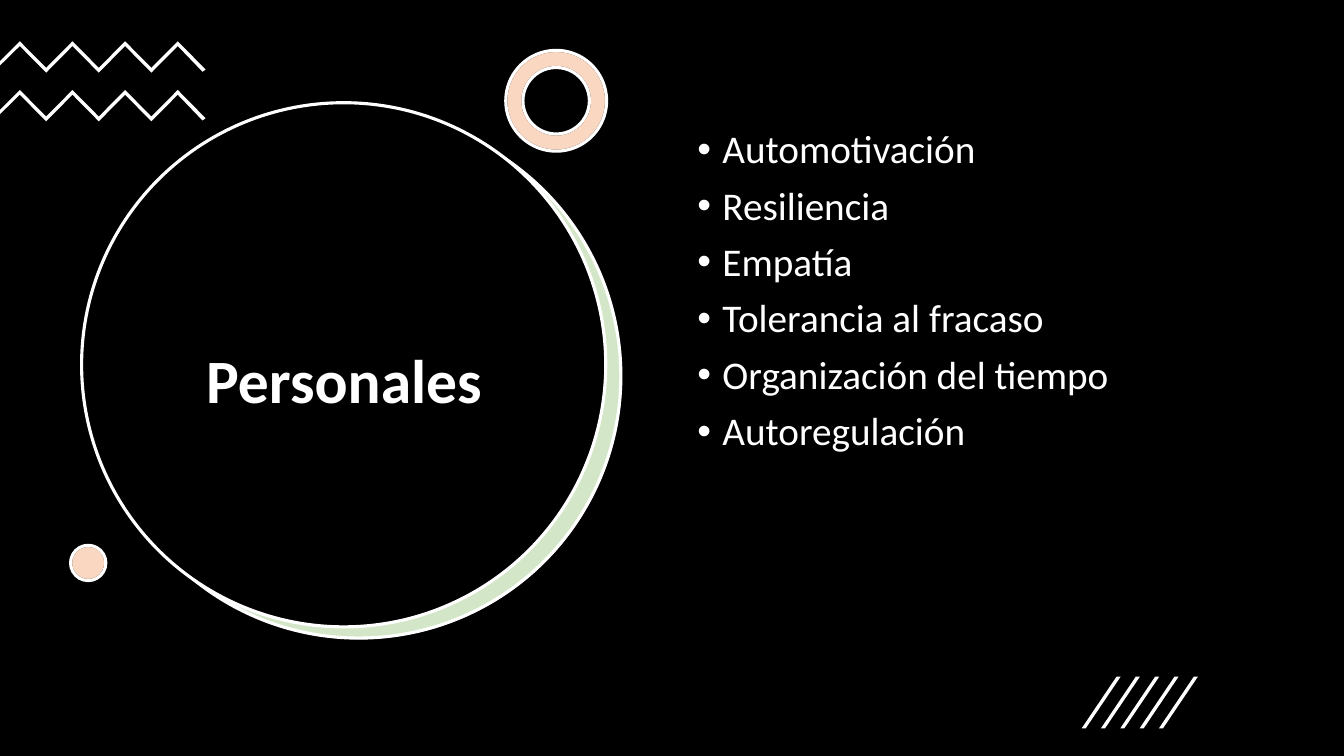
from lxml.etree import SubElement
from pptx import Presentation
from pptx.dml.color import RGBColor
from pptx.enum.shapes import MSO_SHAPE as Preset
from pptx.enum.text import MSO_ANCHOR as Anchor, PP_ALIGN as Align
from pptx.oxml.ns import qn
from pptx.util import Pt

COLORS = {"black": "000000", "white": "FFFFFF", "green": "70AD47", "orange": "ED7D31"}
FONT = "Calibri"
LINE_WIDTH = 2.25
UNITS = 100  # outline units per point

SKILLS = ["Automotivación", "Resiliencia", "Empatía", "Tolerancia al fracaso",
          "Organización del tiempo", "Autoregulación"]


def color(name):
    return RGBColor.from_string(COLORS[name])


def paint(shape, fill, line=None, opacity=100):
    shape.shadow.inherit = False
    shape.fill.solid()
    shape.fill.fore_color.rgb = color(fill)
    if opacity < 100:
        tint = shape.fill._xPr.find(qn("a:solidFill"))[0]
        SubElement(tint, qn("a:alpha")).set("val", str(opacity * 1000))
    if line:
        shape.line.color.rgb = color(line)
        shape.line.width = Pt(LINE_WIDTH)
    else:
        shape.line.fill.background()


def add_preset(page, preset, left, top, width, height, fill, line=None, opacity=100):
    shape = page.shapes.add_shape(preset, Pt(left), Pt(top), Pt(width), Pt(height))
    paint(shape, fill, line, opacity)
    return shape


def add_outline(page, points):
    points = [(x * UNITS, y * UNITS) for x, y in points]
    builder = page.shapes.build_freeform(*points[0], scale=Pt(1) / UNITS)
    builder.add_line_segments(points[1:], close=True)
    paint(builder.convert_to_shape(), "white")


def add_box(page, left, top, width, height, anchor):
    frame = page.shapes.add_textbox(Pt(left), Pt(top), Pt(width), Pt(height)).text_frame
    frame.word_wrap = True
    frame.vertical_anchor = anchor
    return frame


def add_span(para, text, size, bold=False):
    para.line_spacing = 0.9
    span = para.add_run()
    span.text = text
    span.font.name = FONT
    span.font.size = Pt(size)
    span.font.bold = bold
    span.font.color.rgb = color("white")


def title_disc(page, left, top, size):
    # Tinted disc behind, black disc in front
    add_preset(page, Preset.OVAL, left + 11.5, top + 8.7, size, size, "white")
    add_preset(page, Preset.OVAL, left + 10.8, top + 8, size, size, "green", "white", 30)
    add_preset(page, Preset.OVAL, left, top, size, size, "black", "white")
    # Title
    para = add_box(page, left + 28.8, top + 74.2, 317.5, 253.4, Anchor.MIDDLE).paragraphs[0]
    para.alignment = Align.CENTER
    add_span(para, "Personales", 44, bold=True)


def zigzag(page, left, top):
    step, rise, thickness = 18.8, 19, 3.4
    upper = [(left + 14.2 + step * i, top + rise * (i % 2)) for i in range(7)]
    lower = [(x, y + thickness) for x, y in reversed(upper)]
    tip = [(left + 146.9, top + 20.2), (left + 144.7, top + 21.8)]
    edge = [(left, top + 17.3), (left, top + 14.2)]
    add_outline(page, upper + tip + lower + edge)


def tinted_accent(page, preset, left, top, size, hole=None):
    for fill, line, opacity in (("white", "black", 100), ("orange", "white", 30)):
        shape = add_preset(page, preset, left, top, size, size, fill, line, opacity)
        if hole:
            shape.adjustments[0] = hole


def skill_list(page, left, top, width, height):
    frame = add_box(page, left, top, width, height, Anchor.TOP)
    for index, skill in enumerate(SKILLS):
        para = frame.add_paragraph() if index else frame.paragraphs[0]
        props = para._p.get_or_add_pPr()
        props.set("marL", str(Pt(18)))
        props.set("indent", str(-Pt(18)))
        SubElement(props, qn("a:buFont")).set("typeface", "Arial")
        SubElement(props, qn("a:buChar")).set("char", "•")
        if index:
            para.space_before = Pt(10)
        add_span(para, skill, 28)


def slanted_strokes(page, left, top, width, height):
    count, gap, thickness = 5, 13.8, 2.9
    slant = width - gap * (count - 1) - thickness
    for index in range(count):
        x = left + gap * index
        add_outline(page, [(x + thickness, top + height), (x, top + height),
                           (x + slant, top), (x + slant + thickness, top)])


def main():
    deck = Presentation()
    deck.slide_width, deck.slide_height = Pt(960), Pt(540)
    page = deck.slides.add_slide(deck.slide_layouts[6])

    # Backdrop
    add_preset(page, Preset.RECTANGLE, 0, 0, 960, 540, "black")
    # Title and decorations on the left
    title_disc(page, 58.3, 73.4, 374.4)
    for top in (29.5, 64.3):
        zigzag(page, 0, top)
    tinted_accent(page, Preset.DONUT, 361.3, 36, 72, hole=0.17)
    tinted_accent(page, Preset.OVAL, 50.4, 389.5, 25.2)
    # List and strokes on the right
    skill_list(page, 491, 89.3, 411.1, 342.7)
    slanted_strokes(page, 772.6, 483.4, 83, 36.9)

    deck.save("out.pptx")


if __name__ == "__main__":
    main()
